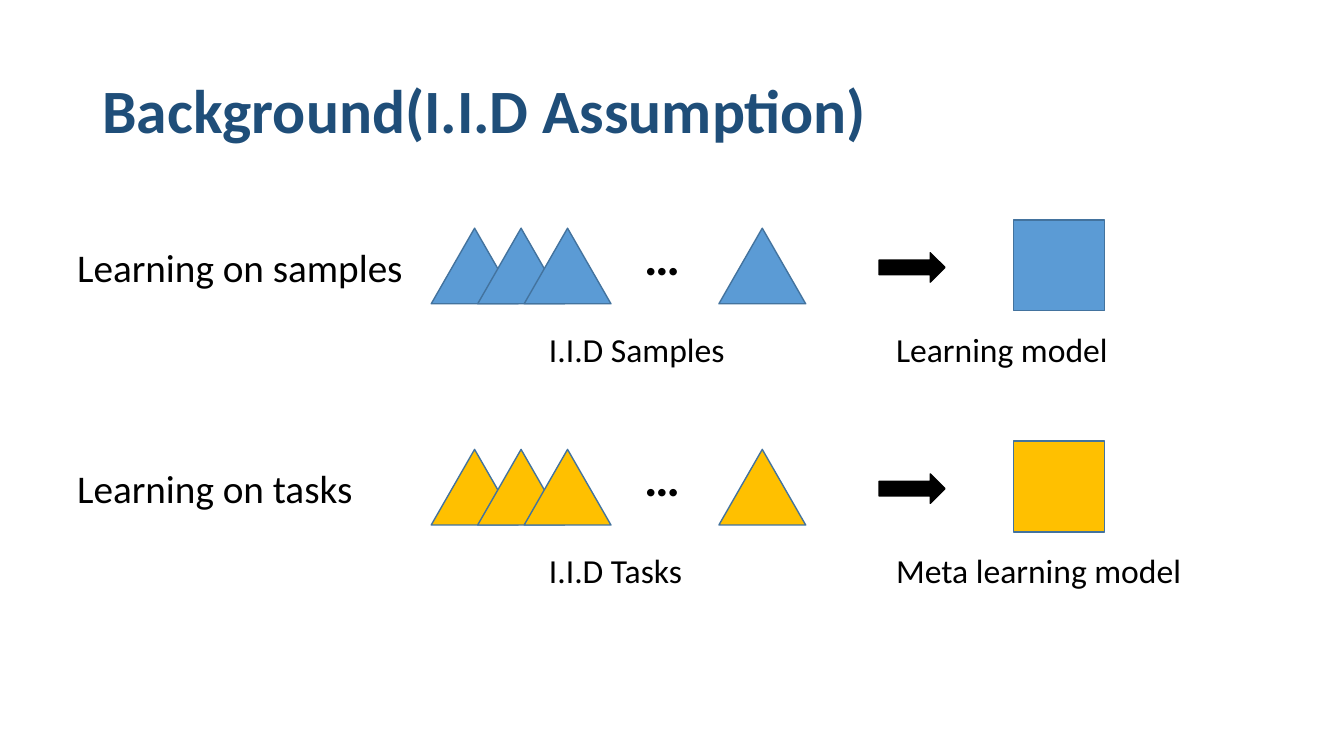
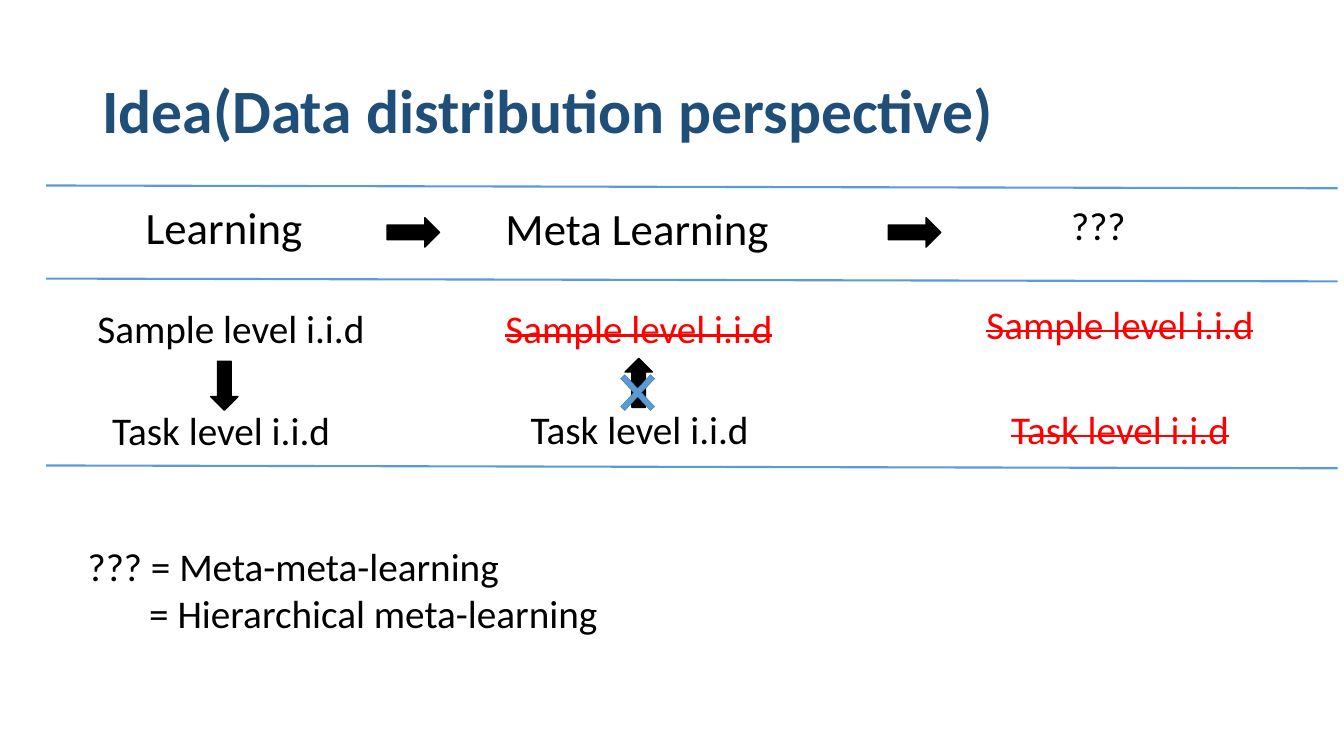
from pptx import Presentation
from pptx.dml.color import RGBColor
from pptx.enum import shapes, text
from pptx.oxml.ns import qn
from pptx.util import Pt
from lxml import etree

FONT = "Calibri"
NAVY, BLUE, EDGE = "1F4E79", "5B9BD5", "43739E"
GOLD, RED, BLACK = "FFC000", "FF0000", "000000"
KIND = shapes.MSO_SHAPE
LEFT, MID = text.PP_ALIGN.LEFT, text.PP_ALIGN.CENTER

# Slide 1: label, colour, caption of the inputs, caption of the model
ROWS = [
    ("Learning on samples", BLUE, "I.I.D Samples", "Learning model"),
    ("Learning on tasks", GOLD, "I.I.D Tasks", "Meta learning model"),
]
ROW_TOP, ROW_STEP = 157, 158
TRI_X = [308 + 33.2 * n for n in range(3)] + [513.5]

# Slide 2: text, box, size, colour, alignment
HEADS = [
    ("Meta Learning", (354, 144, 261, 57), 32),
    ("???", (758, 144, 190, 57), 28),
]
LEVELS = [
    ("Sample level i.i.d", (62.5, 214, 225, 41), BLACK, LEFT),
    ("Task level i.i.d", (73, 286.5, 225, 41), BLACK, LEFT),
    ("Sample level i.i.d", (354, 214, 269, 41), RED, LEFT),
    ("Task level i.i.d", (372, 286, 225, 41), BLACK, LEFT),
    ("Sample level i.i.d", (665.5, 211, 269, 41), RED, MID),
    ("Task level i.i.d", (687.5, 286, 225, 41), RED, MID),
]
NOTES = [("??? = Meta-meta-learning", 0), ("= Hierarchical meta-learning", 44)]
RULES = [132.5, 199, 332.5]


def rgb(code):
    return RGBColor.from_string(code)


def place(item, box):
    item.left, item.top, item.width, item.height = map(Pt, box)


def write(para, words, size, color=BLACK, bold=False, align=LEFT):
    """Add one run to a paragraph; red words are struck out."""
    para.alignment = align
    run = para.add_run()
    run.text = words
    font = run.font
    font.name, font.size, font.bold = FONT, Pt(size), bold
    font.color.rgb = rgb(color)
    if color == RED:
        run._r.get_or_add_rPr().set("strike", "sngStrike")


def space(para):
    para.line_spacing, para.space_before = 0.9, Pt(10)


def label(slide, words, box, size, color=BLACK, bold=False, align=LEFT):
    frame = slide.shapes.add_textbox(*map(Pt, box)).text_frame
    frame.word_wrap = True
    para = frame.paragraphs[0]
    write(para, words, size, color, bold, align)
    return para


def draw(slide, kind, box, fill=BLACK, edge=BLACK, width=1):
    item = slide.shapes.add_shape(kind, *map(Pt, box))
    item.shadow.inherit = False
    item.fill.solid()
    item.fill.fore_color.rgb = rgb(fill)
    item.line.color.rgb = rgb(edge)
    item.line.width = Pt(width)
    return item


def rule(slide, y):
    line = slide.shapes.add_connector(
        shapes.MSO_CONNECTOR.STRAIGHT, Pt(33), Pt(y), Pt(955.5), Pt(y + 2))
    line.line.color.rgb = rgb(BLUE)
    line.line.width = Pt(1.5)
    etree.SubElement(line._element.spPr, qn("a:effectLst"))


def start(deck, layout, words):
    """Add a slide with the shared title style."""
    slide = deck.slides.add_slide(deck.slide_layouts[layout])
    title = slide.shapes.title
    place(title, (66, 29, 828, 104))
    frame = title.text_frame
    frame.auto_size = text.MSO_AUTO_SIZE.NONE
    frame.vertical_anchor = text.MSO_ANCHOR.MIDDLE
    para = frame.paragraphs[0]
    para.line_spacing = 0.9
    write(para, words, 44, NAVY, True)
    return slide


def background(deck):
    slide = start(deck, 5, "Background(I.I.D Assumption)")
    for n, (name, color, data, model) in enumerate(ROWS):
        y = ROW_TOP + n * ROW_STEP
        for x in TRI_X:
            draw(slide, KIND.ISOSCELES_TRIANGLE, (x, y + 6, 62, 54), color, EDGE)
        label(slide, "…", (453, y, 54, 51), 36, bold=True)
        label(slide, name, (48, y + 13, 253, 41), 28)
        draw(slide, KIND.RECTANGLE, (724, y, 65, 65), color, EDGE)
        label(slide, data, (385, y + 74.5, 159, 36), 24)
        label(slide, model, (633, y + 74.5, 294, 36), 24)
        draw(slide, KIND.RIGHT_ARROW, (628, y + 23.5, 47, 21))


def idea(deck):
    slide = start(deck, 1, "Idea(Data distribution perspective)")
    body = slide.placeholders[1]
    place(body, (29.5, 143.5, 261, 57))
    body.text_frame.auto_size = text.MSO_AUTO_SIZE.NONE
    para = body.text_frame.paragraphs[0]
    write(para, "Learning", 32, align=MID)
    space(para)
    props = para._p.get_or_add_pPr()
    props.set("marL", "0")
    props.set("indent", "0")
    etree.SubElement(props, qn("a:buNone"))

    for words, box, size in HEADS:
        space(label(slide, words, box, size))
    for words, box, color, align in LEVELS:
        label(slide, words, box, 28, color, align=align)

    frame = slide.shapes.add_textbox(*map(Pt, (55.5, 384, 793, 109))).text_frame
    frame.word_wrap = True
    for n, (words, inset) in enumerate(NOTES):
        para = frame.add_paragraph() if n else frame.paragraphs[0]
        write(para, words, 28)
        para._p.get_or_add_pPr().set("marL", str(Pt(inset)))

    for x in (276.5, 634.5):
        draw(slide, KIND.RIGHT_ARROW, (x, 155.5, 37.5, 21))
    for y in RULES:
        rule(slide, y)
    draw(slide, KIND.DOWN_ARROW, (150.5, 258, 19.5, 35))
    draw(slide, KIND.DOWN_ARROW, (446.5, 256, 19.5, 35)).rotation = 180
    cross = draw(slide, KIND.MATH_MULTIPLY, (435, 258.5, 41, 44), BLUE, EDGE, 0.25)
    cross.adjustments[0] = 0.1


def main():
    deck = Presentation()
    deck.slide_width, deck.slide_height = Pt(960), Pt(540)
    background(deck)
    idea(deck)
    deck.save("out.pptx")


if __name__ == "__main__":
    main()
